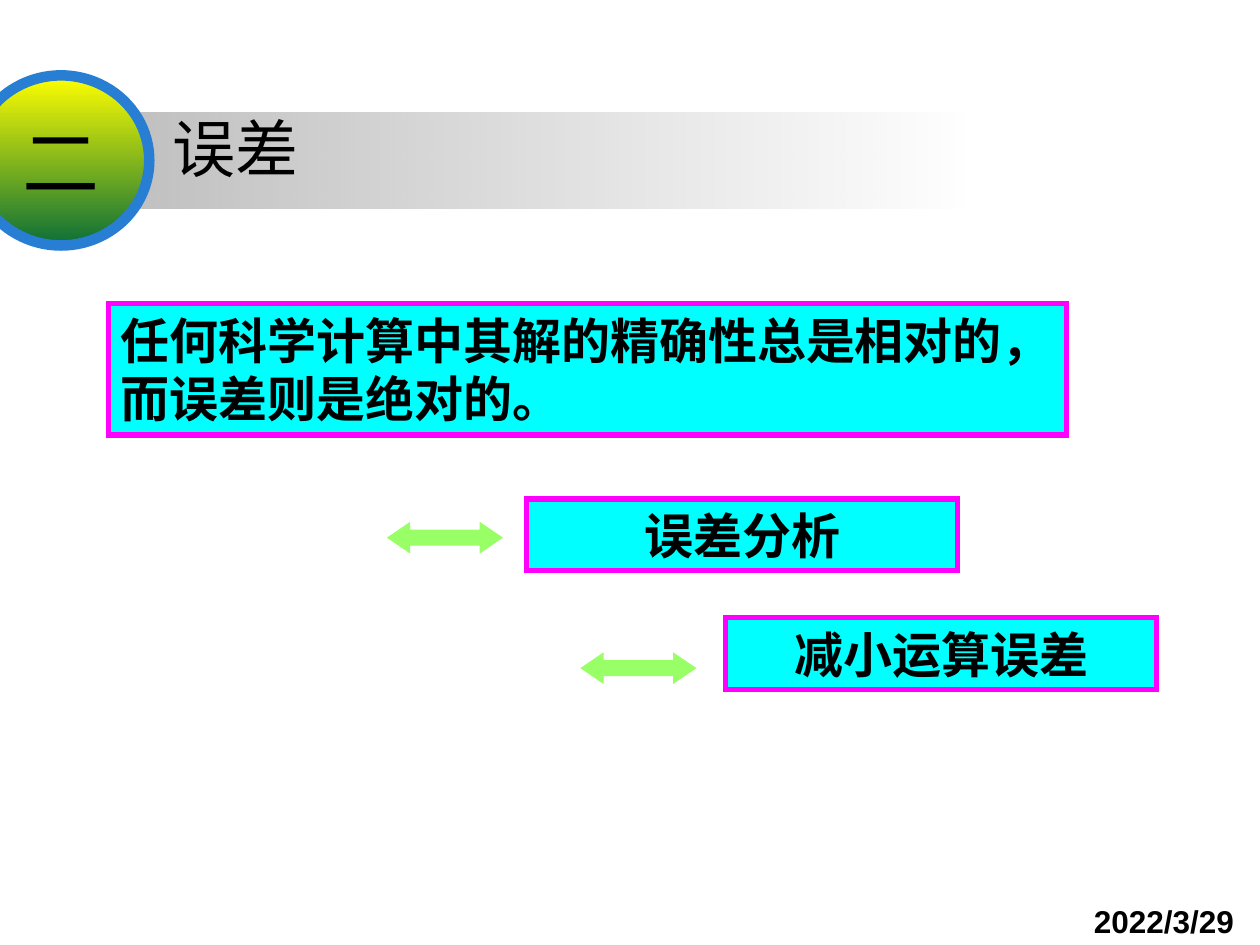
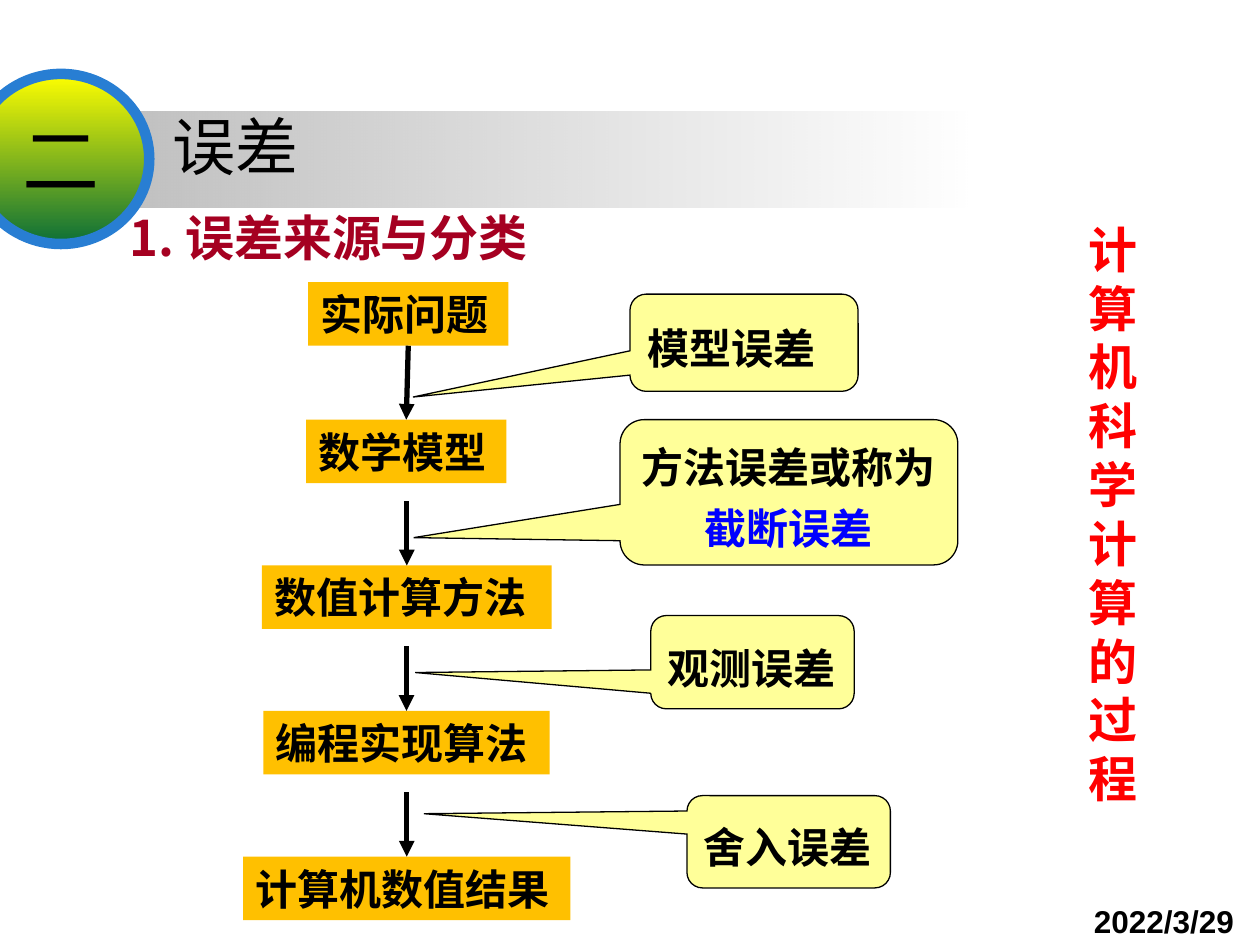
from dataclasses import dataclass

from lxml.etree import SubElement
from pptx import Presentation
from pptx.dml.color import RGBColor
from pptx.enum.shapes import MSO_CONNECTOR, MSO_SHAPE
from pptx.enum.text import MSO_ANCHOR, PP_ALIGN
from pptx.oxml.ns import qn
from pptx.util import Cm, Pt

COLOURS = {
    "text": "000000",
    "bar": "BFBFBF",
    "badge_top": "FFFF00",
    "badge_bottom": "0B6E38",
    "badge_ring": "287ED3",
    "statement": "00FFFF",
    "statement_edge": "FF00FF",
    "double_arrow": "99FF66",
    "stage": "FFC000",
    "callout": "FFFF99",
    "heading": "A50021",
    "process": "FF0000",
    "truncation": "0000FF",
}
LATIN = "Arial"
CHINESE = "Noto Sans CJK SC"
STAGE_HEIGHT = 1.28


@dataclass(frozen=True)
class Place:
    left: float
    top: float
    width: float
    height: float

    def lengths(self):
        return [Cm(n) for n in (self.left, self.top, self.width, self.height)]


@dataclass(frozen=True)
class Style:
    size: float
    colour: str = "text"
    font: str = CHINESE
    bold: bool = True
    align: PP_ALIGN = PP_ALIGN.LEFT
    spacing: float = 1.0
    anchor: MSO_ANCHOR = MSO_ANCHOR.TOP


@dataclass(frozen=True)
class Statement:
    text: str
    place: Place
    align: PP_ALIGN = PP_ALIGN.CENTER


@dataclass(frozen=True)
class Stage:
    text: str
    left: float
    top: float
    width: float


@dataclass(frozen=True)
class Callout:
    text: str
    place: Place
    pointer: tuple[float, float]
    term: str = ""


STATEMENTS = [
    Statement("任何科学计算中其解的精确性总是相对的，而误差则是绝对的。",
              Place(2.19, 6.12, 19.31, 2.65), PP_ALIGN.LEFT),
    Statement("误差分析", Place(10.62, 10.06, 8.69, 1.45)),
    Statement("减小运算误差", Place(14.63, 12.45, 8.69, 1.45)),
]
DOUBLE_ARROWS = [Place(7.8, 10.52, 2.34, 0.64), Place(11.7, 13.15, 2.34, 0.64)]
STAGES = [
    Stage("实际问题", 6.21, 5.69, 4.04),
    Stage("数学模型", 6.17, 8.46, 4.04),
    Stage("数值计算方法", 5.28, 11.4, 5.84),
    Stage("编程实现算法", 5.31, 14.33, 5.77),
    Stage("计算机数值结果", 4.9, 17.27, 6.6),
]
CALLOUTS = [
    Callout("模型误差", Place(12.7, 5.93, 4.6, 1.96), (-1.451, 0.559)),
    Callout("方法误差或称为", Place(12.5, 8.46, 6.81, 2.93), (-1.111, 0.312), "截断误差"),
    Callout("观测误差", Place(13.12, 12.41, 4.1, 1.88), (-1.659, 0.111)),
    Callout("舍入误差", Place(13.85, 16.04, 4.1, 1.86), (-1.794, -0.304)),
]


def rgb(colour: str) -> RGBColor:
    return RGBColor.from_string(COLOURS[colour])


def apply(target, values: dict) -> None:
    for key, value in values.items():
        setattr(target, key, value)


def add_run(paragraph, text: str, style: Style, colour: str) -> None:
    run = paragraph.add_run()
    run.text = text
    apply(run.font, {"size": Pt(style.size), "bold": style.bold, "name": style.font})
    run.font.color.rgb = rgb(colour)
    latin = run.font._element.find(qn("a:latin"))
    latin.addnext(latin.makeelement(qn("a:ea"), {"typeface": style.font}))


def write(shape, lines: list[str], style: Style, term: str = "") -> None:
    frame = shape.text_frame
    apply(frame, {
        "word_wrap": True,
        "vertical_anchor": style.anchor,
        "margin_left": Cm(0.25),
        "margin_right": Cm(0.25),
        "margin_top": Cm(0.13),
        "margin_bottom": Cm(0.13),
    })
    for index, line in enumerate(lines):
        paragraph = frame.add_paragraph() if index else frame.paragraphs[0]
        apply(paragraph, {"alignment": style.align, "line_spacing": style.spacing})
        add_run(paragraph, line, style, style.colour)
        if term:
            add_run(paragraph, term, style, "truncation")


def add_block(slide, kind: MSO_SHAPE, place: Place, fill: str | None = None,
              edge: str | None = None, edge_width: float = 0):
    shape = slide.shapes.add_shape(kind, *place.lengths())
    shape.shadow.inherit = False
    if fill:
        shape.fill.solid()
        shape.fill.fore_color.rgb = rgb(fill)
    if edge:
        shape.line.color.rgb = rgb(edge)
        shape.line.width = Pt(edge_width)
        SubElement(shape.element.spPr.find(qn("a:ln")), qn("a:miter"), lim="800000")
    else:
        shape.line.fill.background()
    return shape


def add_label(slide, place: Place, lines: list[str], style: Style) -> None:
    write(slide.shapes.add_textbox(*place.lengths()), lines, style)


def blend(shape, start: str, end: str, angle: float) -> None:
    shape.fill.gradient()
    shape.fill.gradient_angle = angle
    for stop, colour, position in zip(shape.fill.gradient_stops, (start, end), (0, 1)):
        stop.color.rgb = rgb(colour)
        stop.position = position


def add_header(slide, top: float) -> None:
    bar = add_block(slide, MSO_SHAPE.RECTANGLE, Place(2.13, top + 0.75, 17.4, 1.94))
    blend(bar, "bar", "bar", 0)
    faded = list(bar.element.iter(qn("a:srgbClr")))[-1]
    SubElement(faded, qn("a:alpha"), val="0")
    badge = add_block(slide, MSO_SHAPE.OVAL, Place(-0.55, top, 3.56, 3.43),
                      edge="badge_ring", edge_width=6)
    blend(badge, "badge_top", "badge_bottom", 270)
    write(badge, ["二"], Style(44, font=LATIN, bold=False, align=PP_ALIGN.CENTER,
                              anchor=MSO_ANCHOR.MIDDLE))
    add_label(slide, Place(3.22, top + 0.55, 11.18, 1.8), ["误差"],
              Style(36, font=LATIN, bold=False))


def add_date(slide) -> None:
    add_label(slide, Place(21.8, 17.91, 4.09, 1.19), ["2022/3/29"],
              Style(18, font=LATIN, spacing=1.2))


def add_flow_arrow(slide, start, end, touching: bool) -> None:
    centre = end.left + end.width // 2
    arrow = slide.shapes.add_connector(
        MSO_CONNECTOR.STRAIGHT, centre, end.top - Cm(1.3), centre, end.top)
    if touching:
        arrow.begin_connect(start, 2)
    arrow.end_connect(end, 0)
    arrow.line.color.rgb = rgb("text")
    arrow.line.width = Pt(3)
    properties = arrow.element.spPr
    SubElement(properties.find(qn("a:ln")), qn("a:tailEnd"), type="triangle")
    SubElement(properties, qn("a:effectLst"))


def build_error_slide(slide) -> None:
    add_date(slide)
    for statement in STATEMENTS:
        box = add_block(slide, MSO_SHAPE.RECTANGLE, statement.place,
                        "statement", "statement_edge", 3)
        write(box, [statement.text], Style(28, align=statement.align))
    for place in DOUBLE_ARROWS:
        arrow = add_block(slide, MSO_SHAPE.LEFT_RIGHT_ARROW, place, "double_arrow")
        arrow.adjustments[0] = 0.5
        arrow.adjustments[1] = 0.733
    add_header(slide, 1.52)


def build_sources_slide(slide) -> None:
    add_date(slide)
    add_header(slide, 1.49)
    add_label(slide, Place(2.36, 4.06, 12.09, 1.45), ["1. 误差来源与分类"],
              Style(28, "heading"))
    add_label(slide, Place(21.69, 4.29, 1.5, 12.22),
              ["计", "算", "机", "科", "学", "计", "算的", "过程"], Style(28, "process"))
    boxes = []
    for stage in STAGES:
        place = Place(stage.left, stage.top, stage.width, STAGE_HEIGHT)
        box = add_block(slide, MSO_SHAPE.RECTANGLE, place, "stage")
        write(box, [stage.text], Style(24))
        boxes.append(box)
    for index, (start, end) in enumerate(zip(boxes, boxes[1:])):
        add_flow_arrow(slide, start, end, touching=index == 0)
    for callout in CALLOUTS:
        bubble = add_block(slide, MSO_SHAPE.ROUNDED_RECTANGULAR_CALLOUT, callout.place,
                           "callout", "text", 0.75)
        for index, value in enumerate((*callout.pointer, 0.167)):
            bubble.adjustments[index] = value
        align = PP_ALIGN.CENTER if callout.term else PP_ALIGN.LEFT
        write(bubble, [callout.text],
              Style(24, align=align, spacing=1.2, anchor=MSO_ANCHOR.MIDDLE), callout.term)


def main() -> None:
    deck = Presentation()
    apply(deck, {"slide_width": Cm(25.4), "slide_height": Cm(19.05)})
    for build in (build_error_slide, build_sources_slide):
        build(deck.slides.add_slide(deck.slide_layouts[6]))
    deck.save("out.pptx")


if __name__ == "__main__":
    main()
